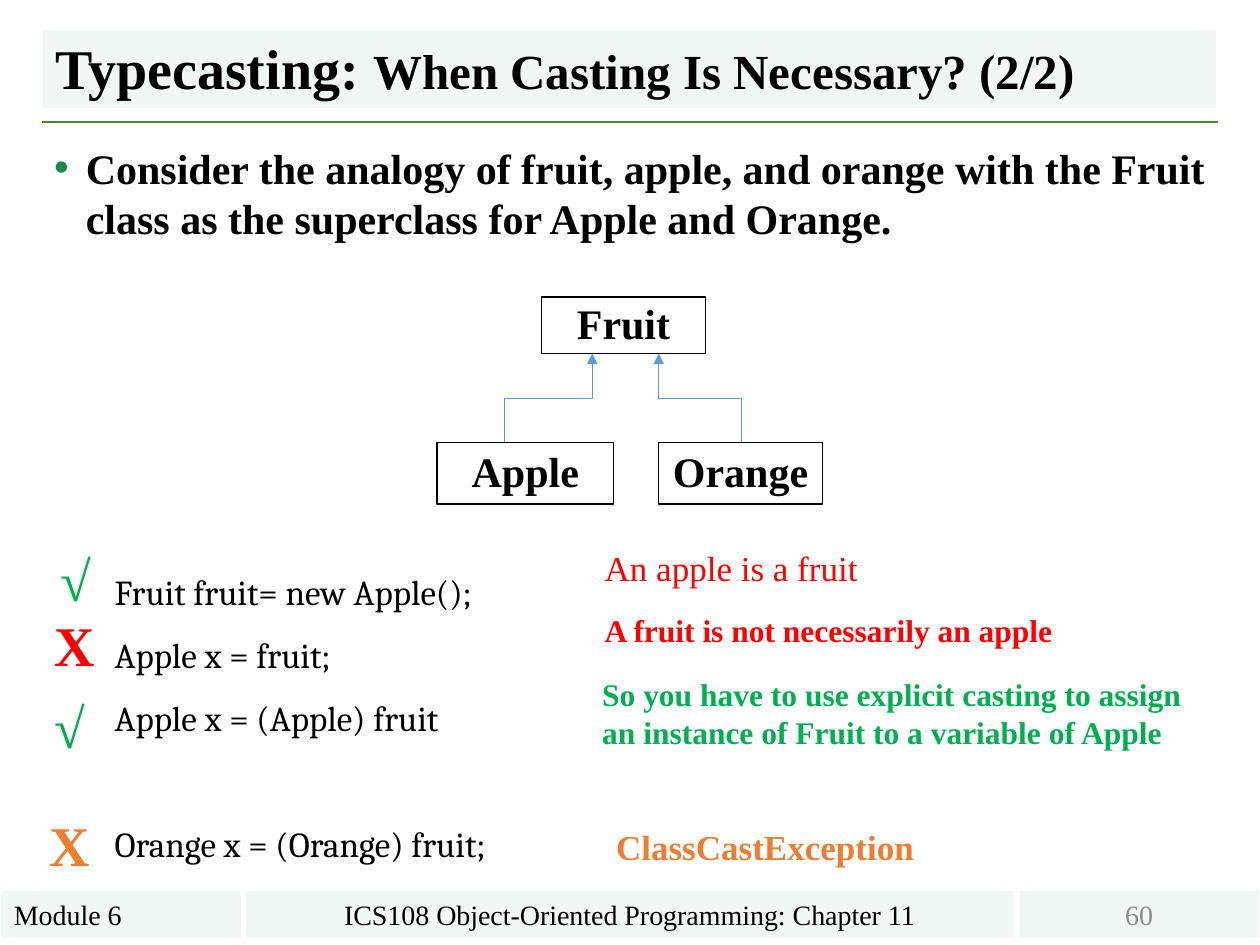
from lxml import etree
from pptx import Presentation
from pptx.dml.color import RGBColor
from pptx.enum import shapes, text
from pptx.oxml import ns
from pptx.util import Cm, Pt

BLACK = RGBColor(0x00, 0x00, 0x00)
GRAY = RGBColor(0x8C, 0x8C, 0x8C)
RED = RGBColor(0xFF, 0x00, 0x00)
GREEN = RGBColor(0x00, 0xB0, 0x50)
ORANGE = RGBColor(0xED, 0x7D, 0x31)
BLUE = RGBColor(0x5B, 0x9B, 0xD5)
RULE_GREEN = RGBColor(0x54, 0x82, 0x35)
PALE = RGBColor(0xF1, 0xF7, 0xF4)
BULLET = "1A864B"
SERIF = "Times New Roman"

TITLE = [("Typecasting: ", 32), ("When Casting Is Necessary? (2/2)", 28)]
BODY = ("Consider the analogy of fruit, apple, and orange with the Fruit "
        "class as the superclass for Apple and Orange.")
FOOTERS = [
    ("Module 6", 0.03, 4.83, BLACK, text.PP_ALIGN.LEFT),
    ("ICS108 Object-Oriented Programming: Chapter 11", 4.95, 15.49, BLACK, text.PP_ALIGN.CENTER),
    ("60", 20.55, 4.83, GRAY, text.PP_ALIGN.CENTER),
]
CLASSES = [
    ("Fruit", (10.92, 5.99, 3.3, 1.14)),
    ("Orange", (13.28, 8.92, 3.3, 1.24)),
    ("Apple", (8.81, 8.92, 3.56, 1.24)),
]
INHERITANCE = [(10.16, 11.94), (14.94, 13.28)]
CHILD_TOP, PARENT_BOTTOM = 8.92, 7.13
CODE = [
    ("Fruit fruit= new Apple();", 0),
    ("Apple x = fruit;", 0),
    ("Apple x = (Apple) fruit", 0),
    ("Orange x = (Orange) fruit;", 36),
]
NOTES = [
    ("An apple is a fruit", (11.94, 10.9, 6.17, 1.3), 20, RED, False),
    ("A fruit is not necessarily an apple", (11.94, 12.2, 9.6, 1.14), 18, RED, True),
    ("So you have to use explicit casting to assign an instance of Fruit "
     "to a variable of Apple", (11.89, 13.49, 12.65, 1.9), 18, GREEN, True),
    ("ClassCastException", (12.17, 16.51, 6.73, 1.14), 20, ORANGE, True),
]
MARKS = [
    ("√", (0.97, 10.87, 1.63, 1.32), GREEN),
    ("X", (0.84, 12.19, 1.35, 1.8), RED),
    ("√", (0.84, 13.84, 1.63, 1.32), GREEN),
    ("X", (0.74, 16.21, 1.35, 1.8), ORANGE),
]


def style(paragraph, size, color=BLACK, bold=False, name=SERIF):
    font = paragraph.font
    font.name, font.size, font.bold = name, Pt(size), bold
    font.color.rgb = color


def add_text(slide, content, box, size, color=BLACK, bold=False,
             align=text.PP_ALIGN.LEFT, anchor=text.MSO_ANCHOR.TOP):
    shape = slide.shapes.add_textbox(*map(Cm, box))
    frame = shape.text_frame
    frame.word_wrap = True
    frame.vertical_anchor = anchor
    paragraph = frame.paragraphs[0]
    paragraph.text = content
    paragraph.alignment = align
    style(paragraph, size, color, bold)
    return shape


def fill(shape, color):
    shape.fill.solid()
    shape.fill.fore_color.rgb = color


def add_line(slide, kind, ends, color, width):
    connector = slide.shapes.add_connector(kind, *map(Cm, ends))
    connector.line.color.rgb = color
    connector.line.width = Pt(width)
    etree.SubElement(connector._element.spPr, ns.qn("a:effectLst"))
    return connector


def add_title(slide):
    shape = add_text(slide, "", (0.86, 0.61, 23.65, 1.57), 32, bold=True,
                     anchor=text.MSO_ANCHOR.BOTTOM)
    fill(shape, PALE)
    paragraph = shape.text_frame.paragraphs[0]
    paragraph.line_spacing = 0.9
    for content, size in TITLE:
        run = paragraph.add_run()
        run.text = content
        run.font.size = Pt(size)


def add_body(slide):
    shape = add_text(slide, BODY, (0.84, 2.74, 23.72, 2.6), 24, bold=True)
    properties = shape.text_frame.paragraphs[0]._p.get_or_add_pPr()
    properties.set("marL", str(Cm(0.64)))
    properties.set("indent", str(Cm(-0.64)))
    bullet_color = etree.Element(ns.qn("a:buClr"))
    etree.SubElement(bullet_color, ns.qn("a:srgbClr"), val=BULLET)
    properties.insert(0, bullet_color)
    bullet_font = etree.Element(ns.qn("a:buFont"), typeface="Arial")
    properties.insert(1, bullet_font)
    properties.insert(2, etree.Element(ns.qn("a:buChar"), char="•"))


def add_class_box(slide, name, box):
    shape = slide.shapes.add_shape(shapes.MSO_SHAPE.RECTANGLE, *map(Cm, box))
    shape.shadow.inherit = False
    shape.fill.background()
    shape.line.color.rgb = BLACK
    shape.line.width = Pt(0.75)
    frame = shape.text_frame
    frame.word_wrap = False
    frame.vertical_anchor = text.MSO_ANCHOR.MIDDLE
    paragraph = frame.paragraphs[0]
    paragraph.text = name
    paragraph.alignment = text.PP_ALIGN.CENTER
    paragraph.line_spacing = 0.93
    style(paragraph, 24, bold=True)


def add_inheritance(slide, child_x, parent_x):
    center_x, center_y = (child_x + parent_x) / 2, (CHILD_TOP + PARENT_BOTTOM) / 2
    half_rise, half_run = (CHILD_TOP - PARENT_BOTTOM) / 2, (parent_x - child_x) / 2
    ends = (center_x - half_rise, center_y - half_run,
            center_x + half_rise, center_y + half_run)
    connector = add_line(slide, shapes.MSO_CONNECTOR.ELBOW, ends, BLUE, 0.5)
    connector._element.spPr.find(ns.qn("a:xfrm")).set("rot", str(270 * 60000))
    etree.SubElement(connector.line._get_or_add_ln(), ns.qn("a:tailEnd"), type="triangle")


def add_code(slide):
    shape = slide.shapes.add_textbox(Cm(2.06), Cm(10.95), Cm(10.44), Cm(6.68))
    frame = shape.text_frame
    frame.word_wrap = True
    for index, (content, gap) in enumerate(CODE):
        paragraph = frame.add_paragraph() if index else frame.paragraphs[0]
        paragraph.text = content
        paragraph.line_spacing = 1.5
        if gap:
            paragraph.space_before = Pt(gap)
        style(paragraph, 20, name="Cambria")


def main():
    presentation = Presentation()
    presentation.slide_width, presentation.slide_height = Cm(25.4), Cm(19.05)
    slide = presentation.slides.add_slide(presentation.slide_layouts[6])

    add_line(slide, shapes.MSO_CONNECTOR.STRAIGHT, (0.84, 2.46, 24.56, 2.46), RULE_GREEN, 1.5)
    for content, left, width, color, align in FOOTERS:
        fill(add_text(slide, content, (left, 17.96, width, 0.94), 16, color,
                      align=align, anchor=text.MSO_ANCHOR.MIDDLE), PALE)
    add_title(slide)
    add_body(slide)
    for name, box in CLASSES:
        add_class_box(slide, name, box)
    for child_x, parent_x in INHERITANCE:
        add_inheritance(slide, child_x, parent_x)
    add_code(slide)
    for content, box, size, color, bold in NOTES:
        add_text(slide, content, box, size, color, bold)
    for mark, box, color in MARKS:
        add_text(slide, mark, box, 32, color, True)
    presentation.save("out.pptx")


if __name__ == "__main__":
    main()
